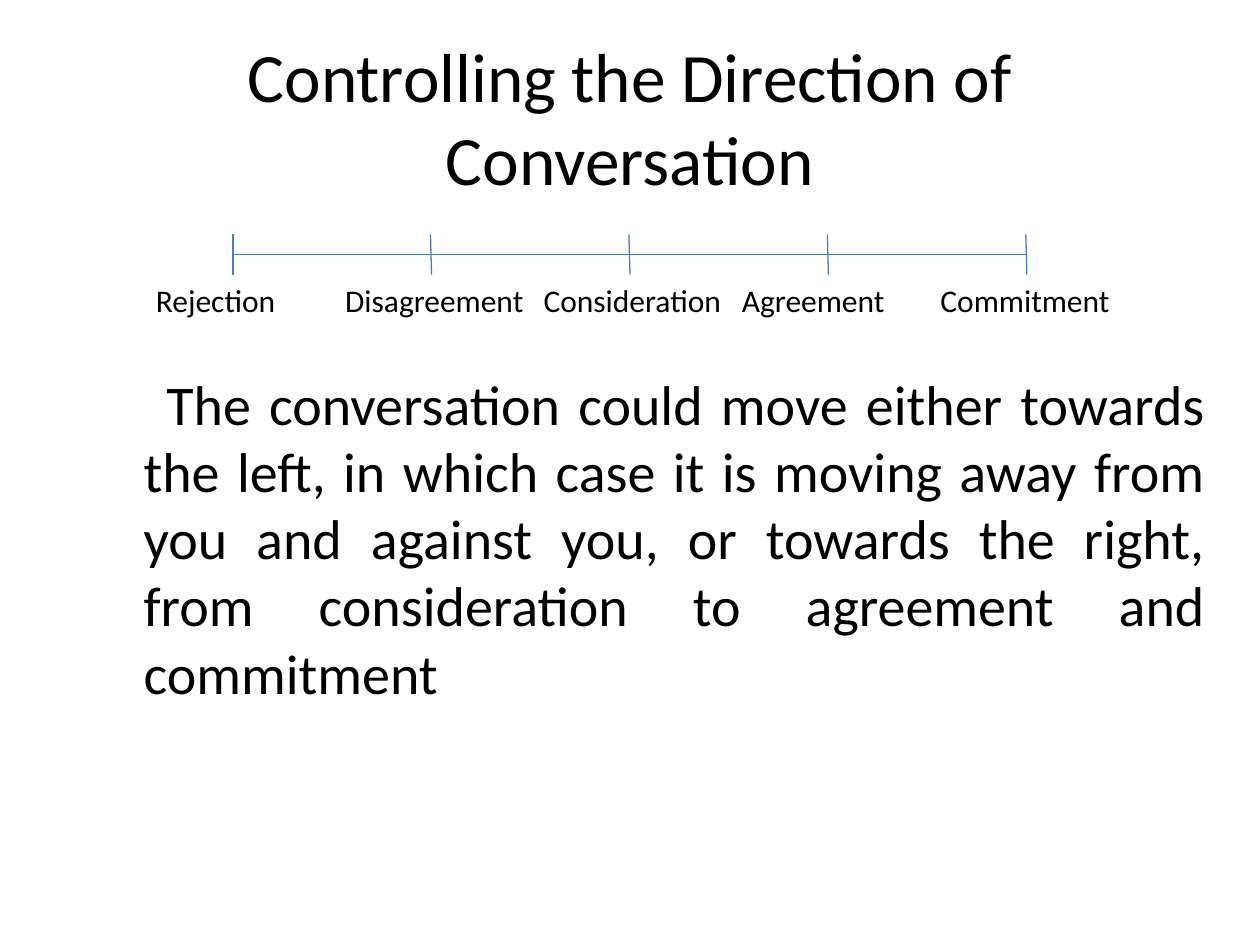
from lxml import etree
from pptx import Presentation
from pptx import util as u
from pptx.dml.color import RGBColor
from pptx.enum import shapes, text
from pptx.oxml.ns import qn

TITLE = "Controlling the Direction of Conversation"
STAGES = ["Rejection", "Disagreement", "Consideration", "Agreement", "Commitment"]
BODY = (
    "The conversation could move either towards the left, in which case it is "
    "moving away from you and against you, or towards the right, from "
    "consideration to agreement and commitment"
)
COLORS = {"text": "000000", "line": "4B7EBC"}
FONT = "Calibri"

SCALE_LEFT, SCALE_RIGHT, SCALE_Y = 133.2, 586.8, 145.4
TICK_HALF, TICK_SLANT = 11.5, 0.6
LABEL_TOP, LABEL_HEIGHT = 157, 29
STEP = (SCALE_RIGHT - SCALE_LEFT) / (len(STAGES) - 1)


def add_text(slide, content, box, size, align, anchor=text.MSO_ANCHOR.TOP):
    shape = slide.shapes.add_textbox(*map(u.Pt, box))
    frame = shape.text_frame
    frame.word_wrap = True
    frame.vertical_anchor = anchor
    paragraph = frame.paragraphs[0]
    paragraph.alignment = align
    run = paragraph.add_run()
    run.text = content
    run.font.name = FONT
    run.font.size = u.Pt(size)
    run.font.color.rgb = RGBColor.from_string(COLORS["text"])
    return shape


def add_line(slide, *ends):
    connector = slide.shapes.add_connector(
        shapes.MSO_CONNECTOR.STRAIGHT, *map(u.Pt, ends)
    )
    connector.line.color.rgb = RGBColor.from_string(COLORS["line"])
    connector.line.width = u.Pt(0.75)
    etree.SubElement(connector._element.spPr, qn("a:effectLst"))


def main():
    presentation = Presentation()
    presentation.slide_width, presentation.slide_height = u.Pt(720), u.Pt(540)
    slide = presentation.slides.add_slide(presentation.slide_layouts[6])

    add_text(slide, TITLE, (36, 21.6, 648, 90), 39.6,
             text.PP_ALIGN.CENTER, text.MSO_ANCHOR.MIDDLE)
    body = add_text(slide, BODY, (48, 207.4, 648, 356.4), 32, text.PP_ALIGN.JUSTIFY)
    properties = body.text_frame.paragraphs[0]._p.get_or_add_pPr()
    properties.set("marL", str(u.Pt(27)))
    properties.set("indent", str(u.Pt(13)))

    add_line(slide, SCALE_LEFT, SCALE_Y, SCALE_RIGHT, SCALE_Y)
    for index, stage in enumerate(STAGES):
        x = SCALE_LEFT + index * STEP
        slant = TICK_SLANT if index else 0
        add_line(slide, x - slant, SCALE_Y - TICK_HALF, x, SCALE_Y + TICK_HALF)
        offset, width = (56.5, 118.8) if index else (51.2, 113)
        label = add_text(slide, stage, (x - offset, LABEL_TOP, width, LABEL_HEIGHT),
                         18, text.PP_ALIGN.LEFT)
        label.text_frame.auto_size = text.MSO_AUTO_SIZE.SHAPE_TO_FIT_TEXT

    presentation.save("out.pptx")


if __name__ == "__main__":
    main()
